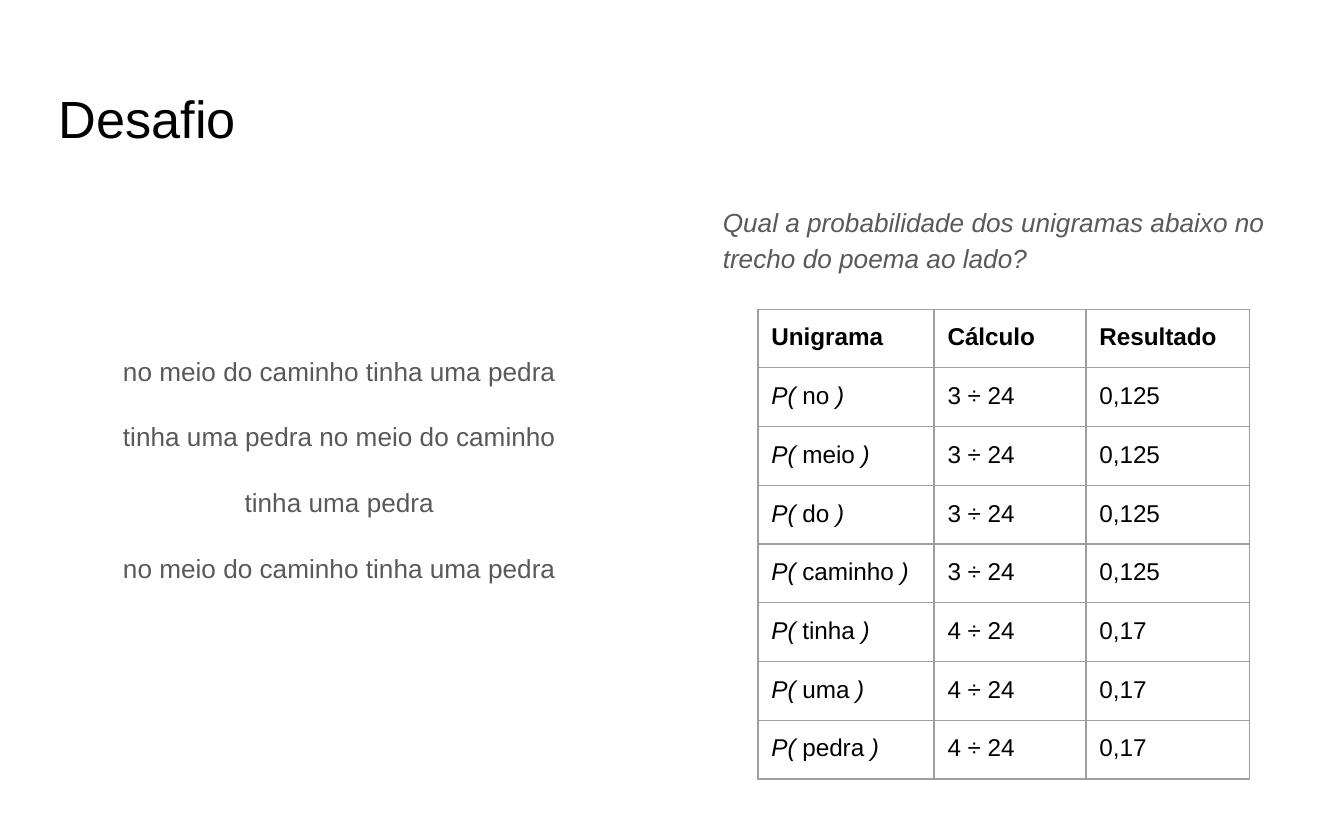
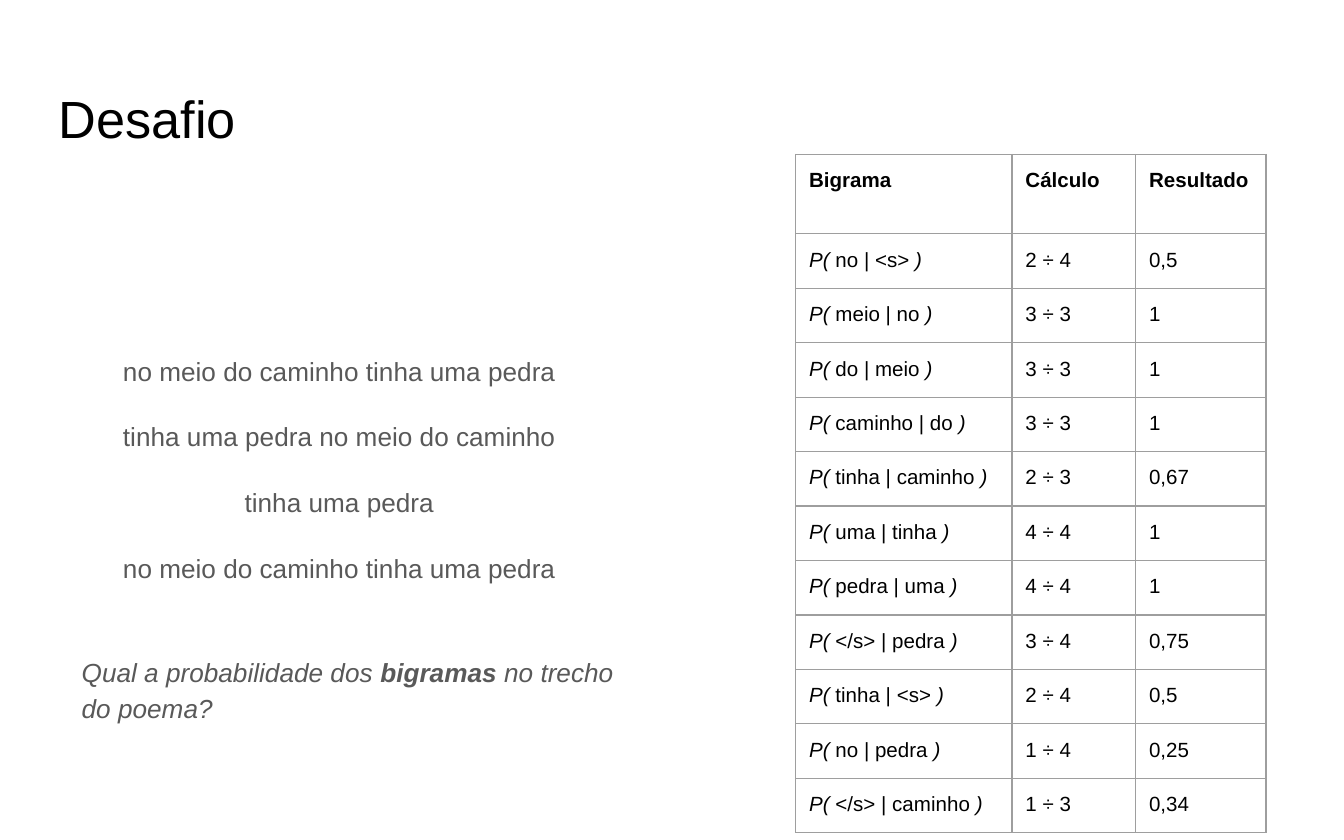
from lxml import etree
from pptx import Presentation
from pptx.dml.color import RGBColor
from pptx.enum.text import MSO_ANCHOR, PP_ALIGN
from pptx.oxml.ns import qn
from pptx.util import Inches, Pt

CENTER, LEFT = PP_ALIGN.CENTER, PP_ALIGN.LEFT
TOP, MIDDLE = MSO_ANCHOR.TOP, MSO_ANCHOR.MIDDLE

BLACK = RGBColor(0x00, 0x00, 0x00)
GRAY = RGBColor(0x59, 0x59, 0x59)
BORDER = RGBColor(0x9E, 0x9E, 0x9E)
FONT = "Arial"
PAD_X, PAD_Y = 0.1, 0.11

TITLE_BOX = (0.34, 0.54, 9.32, 0.7)
POEM_BOX = (0.34, 1.4, 4.37, 4.15)
POEM = [
    "no meio do caminho tinha uma pedra",
    "tinha uma pedra no meio do caminho",
    "tinha uma pedra",
    "no meio do caminho tinha uma pedra",
]

UNIGRAMS = [
    ("no", "3 ÷ 24", "0,125"),
    ("meio", "3 ÷ 24", "0,125"),
    ("do", "3 ÷ 24", "0,125"),
    ("caminho", "3 ÷ 24", "0,125"),
    ("tinha", "4 ÷ 24", "0,17"),
    ("uma", "4 ÷ 24", "0,17"),
    ("pedra", "4 ÷ 24", "0,17"),
]
BIGRAMS = [
    ("no | <s>", "2 ÷ 4", "0,5"),
    ("meio | no", "3 ÷ 3", "1"),
    ("do | meio", "3 ÷ 3", "1"),
    ("caminho | do", "3 ÷ 3", "1"),
    ("tinha | caminho", "2 ÷ 3", "0,67"),
    ("uma | tinha", "4 ÷ 4", "1"),
    ("pedra | uma", "4 ÷ 4", "1"),
    ("</s> | pedra", "3 ÷ 4", "0,75"),
    ("tinha | <s>", "2 ÷ 4", "0,5"),
    ("no | pedra", "1 ÷ 4", "0,25"),
    ("</s> | caminho", "1 ÷ 3", "0,34"),
]


def style_font(p, size, color, bold=False):
    """Set the shared typeface, size and colour on a paragraph."""
    p.font.name = FONT
    p.font.size = Pt(size)
    p.font.color.rgb = color
    p.font.bold = bold


def add_run(p, text):
    """Append a run of text and return it."""
    r = p.add_run()
    r.text = text
    return r


def add_text_frame(slide, box, anchor=TOP):
    """Add a wrapping text box and return its text frame."""
    tf = slide.shapes.add_textbox(*map(Inches, box)).text_frame
    tf.word_wrap = True
    tf.vertical_anchor = anchor
    tf.margin_left = tf.margin_right = Inches(0.1)
    tf.margin_top = tf.margin_bottom = Inches(0.1)
    return tf


def add_title(slide, box, text):
    """Add the slide title."""
    p = add_text_frame(slide, box).paragraphs[0]
    p.text = text
    style_font(p, 28, BLACK)


def add_poem(slide, box, lines):
    """Add the centred verses."""
    tf = add_text_frame(slide, box, MIDDLE)
    for i, line in enumerate(lines):
        p = tf.add_paragraph() if i else tf.paragraphs[0]
        p.text = line
        p.alignment = CENTER
        p.line_spacing = 1.15
        p.space_before = Pt(16 if i else 0)
        style_font(p, 14, GRAY)
    p.space_after = Pt(16)


def add_question(slide, box, before, strong="", after=""):
    """Add the italic question, with an optional bold word."""
    p = add_text_frame(slide, box).paragraphs[0]
    p.alignment = LEFT
    p.line_spacing = 1.15
    p.space_after = Pt(16)
    style_font(p, 14, GRAY)
    p.font.italic = True
    for text in filter(None, (before, strong, after)):
        r = add_run(p, text)
        r.font.italic = True
        if text == strong:
            r.font.bold = True


def set_borders(cell):
    """Draw a thin gray line on all four sides of a cell."""
    props = cell._tc.get_or_add_tcPr()
    for i, side in enumerate(("lnL", "lnR", "lnT", "lnB")):
        ln = etree.Element(qn(f"a:{side}"), w=str(Pt(0.75)))
        fill = etree.SubElement(ln, qn("a:solidFill"))
        etree.SubElement(fill, qn("a:srgbClr"), val=str(BORDER))
        props.insert(i, ln)


def format_cell(cell, size, bold):
    """Apply padding, borders and font to a cell; return its paragraph."""
    cell.margin_left = cell.margin_right = Inches(PAD_X)
    cell.margin_top = cell.margin_bottom = Inches(PAD_Y)
    cell.fill.background()
    set_borders(cell)
    p = cell.text_frame.paragraphs[0]
    style_font(p, size, BLACK, bold)
    return p


def add_probability_table(slide, box, widths, header_height, size, term, rows):
    """Add a table of terms, calculations and results."""
    data = [(term, "Cálculo", "Resultado"), *rows]
    table = slide.shapes.add_table(len(data), len(widths), *map(Inches, box)).table
    table.horz_banding = False
    for column, width in zip(table.columns, widths):
        column.width = Inches(width)
    row_height = (box[3] - header_height) / len(rows)
    for i, values in enumerate(data):
        table.rows[i].height = Inches(row_height if i else header_height)
        for j, value in enumerate(values):
            p = format_cell(table.cell(i, j), size, bold=i == 0)
            if i and j == 0:
                add_run(p, "P( ").font.italic = True
                add_run(p, value)
                add_run(p, " )").font.italic = True
            else:
                add_run(p, value)


def add_challenge_slide(prs):
    """Add a blank slide with the shared title and poem."""
    slide = prs.slides.add_slide(prs.slide_layouts[6])
    add_title(slide, TITLE_BOX, "Desafio")
    add_poem(slide, POEM_BOX, POEM)
    return slide


def build_unigram_slide(prs):
    """Build the unigram challenge."""
    slide = add_challenge_slide(prs)
    add_question(slide, (5.28, 1.4, 4.37, 4.15),
                 "Qual a probabilidade dos unigramas abaixo no trecho do poema ao lado?")
    add_probability_table(slide, (5.64, 2.3, 3.67, 3.39), (1.31, 1.13, 1.22),
                          0.42, 13, "Unigrama", UNIGRAMS)


def build_bigram_slide(prs):
    """Build the bigram challenge."""
    slide = add_challenge_slide(prs)
    add_question(slide, (0.51, 4.75, 4.37, 0.8),
                 "Qual a probabilidade dos ", "bigramas", " no trecho do poema?")
    add_probability_table(slide, (5.92, 1.15, 3.5, 5.05), (1.61, 0.92, 0.97),
                          0.59, 11, "Bigrama", BIGRAMS)


def main():
    """Build and save the presentation."""
    prs = Presentation()
    prs.slide_width = Inches(10)
    prs.slide_height = Inches(6.25)
    build_unigram_slide(prs)
    build_bigram_slide(prs)
    prs.save("out.pptx")


if __name__ == "__main__":
    main()
